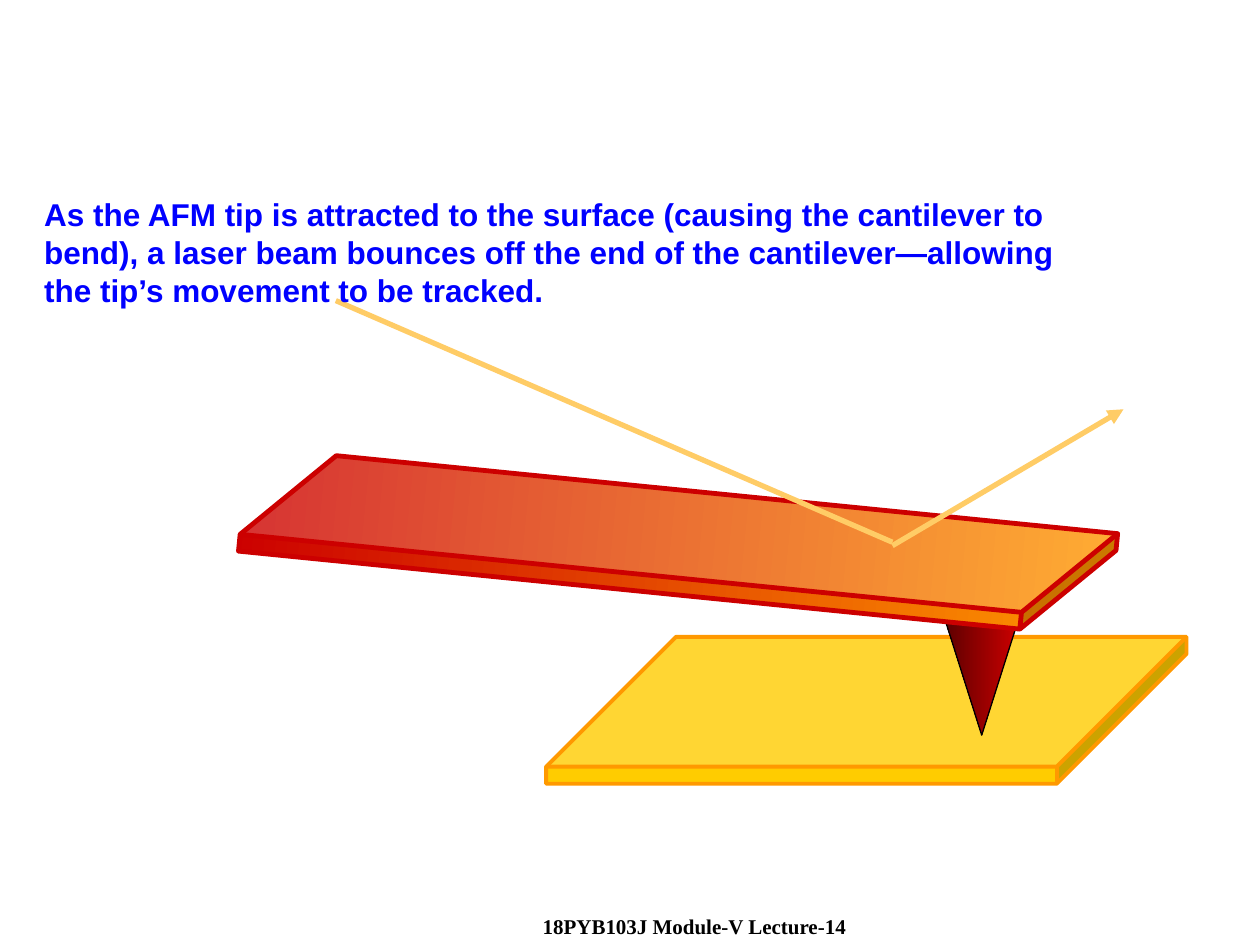
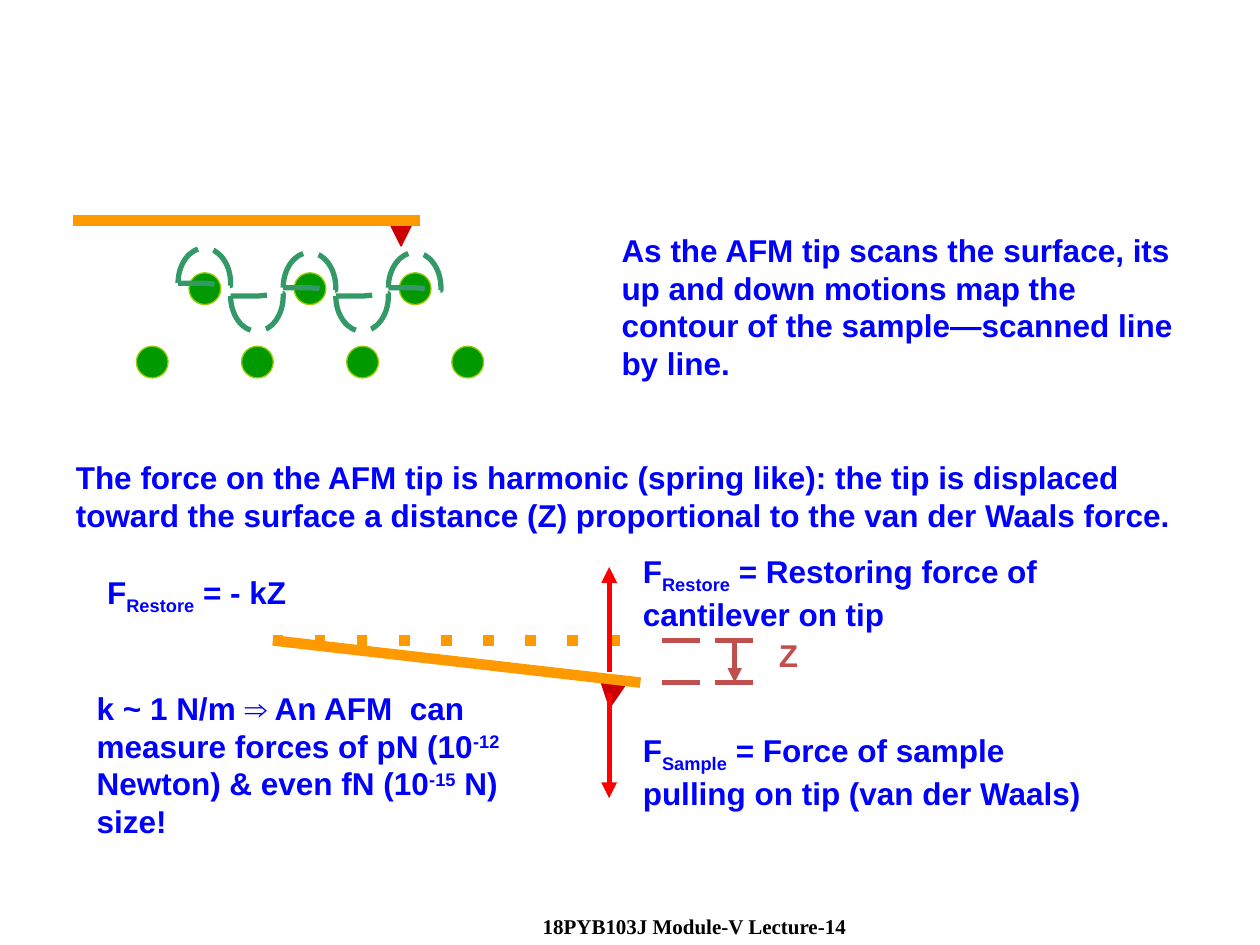
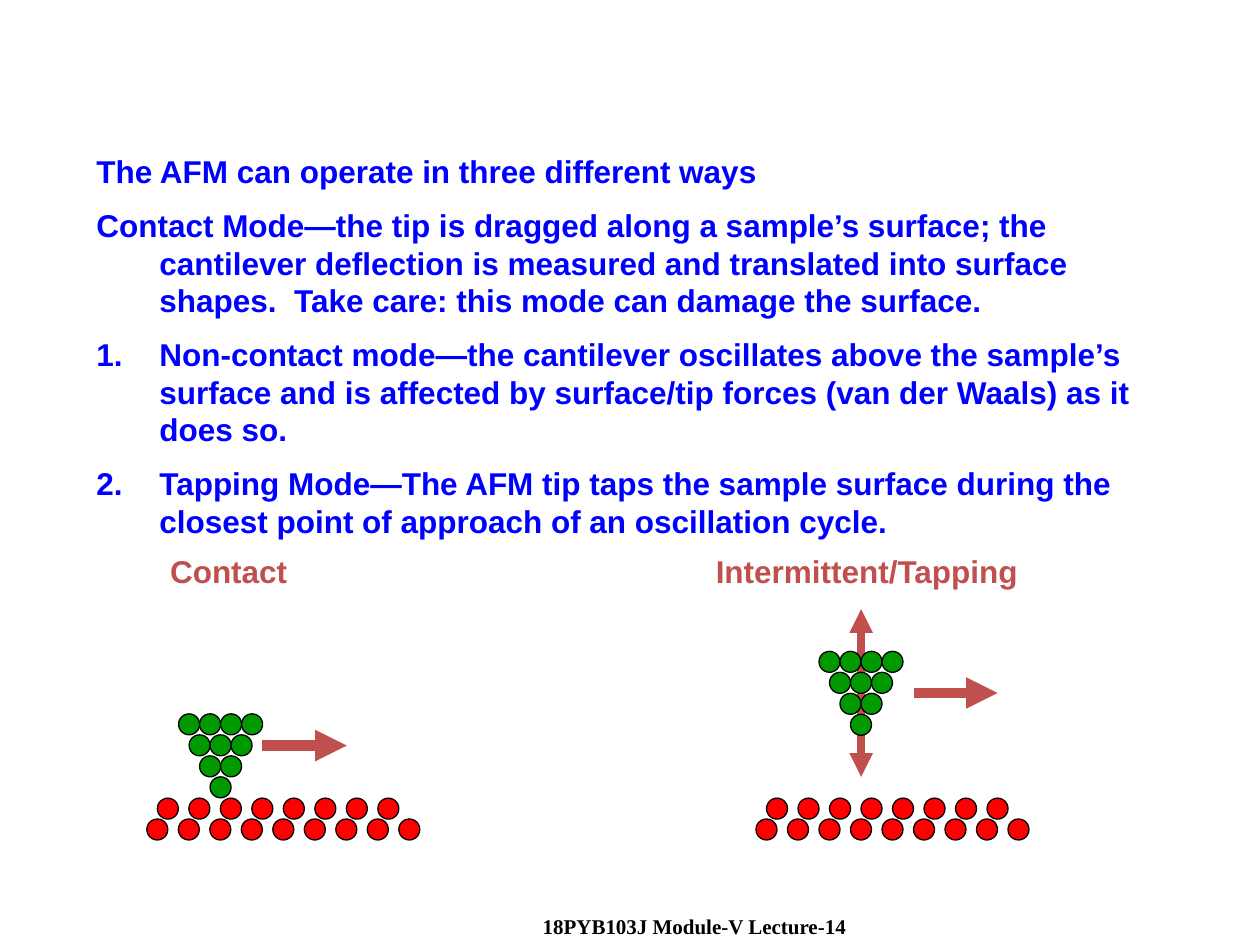
"""Build three slides on how an atomic force microscope works."""
from typing import NamedTuple, Optional

from lxml import etree
from pptx import Presentation
from pptx import util as u
from pptx.dml.color import RGBColor
from pptx.enum import shapes, text
from pptx.oxml import ns

BLUE = "0000FF"
BRICK = "C0504D"
ORANGE = "FF9900"
BEAM = "FFCC66"
RED = "FF0000"
CRIMSON = "CC0000"
MAROON = "5E0000"
GOLD = "FFCC00"
GREEN = "009900"
LIME = "99CC00"
TEAL = "339966"
BLACK = "000000"
ATOM = 1.27 / 3
LATTICE_PITCH = 1.27 / 2


class Run(NamedTuple):
    text: str
    baseline: int = 0


class Label(NamedTuple):
    left: float
    top: float
    width: float
    height: float
    runs: tuple[Run, ...]
    color: str = BLUE
    font: str = "Arial"
    size: int = 18
    inset: float = 0.25


class Line(NamedTuple):
    start: tuple[float, float]
    end: tuple[float, float]
    color: str
    width: float
    dash: Optional[str] = None
    head: bool = False
    tail: bool = False


class Solid(NamedTuple):
    kind: shapes.MSO_SHAPE
    left: float
    top: float
    width: float
    height: float
    fill: tuple[str, ...]
    outline: str
    outline_width: float = 0.75
    rotation: float = 0
    adjustment: Optional[float] = None


FOOTER = Label(8.46, 18.29, 10.16, 0.76, (Run("18PYB103J Module-V Lecture-14"),),
               BLACK, "Times New Roman", 12, 2.48)

CANTILEVER_PARTS = (
    Solid(shapes.MSO_SHAPE.CUBE, 11.01, 12.84, 12.91, 2.96, (GOLD,), ORANGE, 2.25,
          adjustment=0.884),
    Solid(shapes.MSO_SHAPE.ISOSCELES_TRIANGLE, 19.05, 12.49, 1.48, 2.33,
          (CRIMSON, MAROON), BLACK, rotation=180),
    Solid(shapes.MSO_SHAPE.CUBE, 4.87, 9.88, 17.6, 2.11,
          (CRIMSON, ORANGE), CRIMSON, 2.75, 5.7, 0.839),
)
LASER_BEAM = (
    Line((6.77, 6.06), (17.99, 10.93), BEAM, 3),
    Line((17.99, 11), (22.65, 8.25), BEAM, 3, tail=True),
)
LASER_TEXT = Label(0.64, 3.81, 21.8, 2.54, (Run(
    "As the AFM tip is attracted to the surface (causing the cantilever to bend), a laser beam "
    "bounces off the end of the cantilever—allowing the tip’s movement to be tracked."),))

TIPS = (
    Solid(shapes.MSO_SHAPE.ISOSCELES_TRIANGLE, 7.83, 4.45, 0.51, 0.51,
          (CRIMSON,), CRIMSON, rotation=180),
    Solid(shapes.MSO_SHAPE.ISOSCELES_TRIANGLE, 12.07, 13.76, 0.51, 0.51,
          (CRIMSON,), CRIMSON, rotation=188.1),
)
CANTILEVER = Line((1.48, 4.45), (8.47, 4.45), ORANGE, 6)
FORCE_LINES = (
    Line((5.5, 12.91), (13.13, 12.91), ORANGE, 6, "dot"),
    Line((13.34, 12.91), (15.24, 12.91), BRICK, 2.75, "lgDash"),
    Line((13.34, 13.76), (15.24, 13.76), BRICK, 2.75, "lgDash"),
    Line((14.81, 12.91), (14.81, 13.76), BRICK, 2.75, tail=True),
    Line((5.5, 12.91), (12.91, 13.76), ORANGE, 6),
    Line((12.28, 13.55), (12.28, 11.43), RED, 3, tail=True),
    Line((12.28, 13.97), (12.28, 16.09), RED, 3, tail=True),
)
FORCE_LABELS = (
    Label(12.28, 4.53, 11.85, 3.3, (Run(
        "As the AFM tip scans the surface, its up and down motions map the contour of the "
        "sample—scanned line by line."),)),
    Label(1.28, 9.11, 22.86, 1.78, (Run(
        "The force on the AFM tip is harmonic (spring like): the tip is displaced toward the "
        "surface a distance (Z) proportional to the van der Waals force."),)),
    Label(15.45, 12.7, 1.9, 1.02, (Run("Z"),), BRICK),
    Label(12.71, 11, 9.74, 1.78, (
        Run("F"), Run("Restore", -25), Run(" = Restoring force of cantilever on tip"))),
    Label(12.71, 14.61, 9.74, 1.78, (
        Run("F"), Run("Sample", -25),
        Run(" = Force of sample pulling on tip (van der Waals)"))),
    Label(1.91, 11.43, 5.5, 1.02, (Run("F"), Run("Restore", -25), Run(" = - kZ"))),
    Label(1.7, 13.76, 9.1, 3.3, (
        Run("k ~ 1 N/m ⇒ An AFM  can measure forces of pN (10"), Run("-12", 30),
        Run(" Newton) & even fN (10"), Run("-15", 30), Run(" N) size!"))),
)

MODES = (
    ("The AFM can operate in three different ways", False),
    ("Contact Mode—the tip is dragged along a sample’s surface; the cantilever deflection is "
     "measured and translated into surface shapes.  Take care: this mode can damage the "
     "surface.", False),
    ("Non-contact mode—the cantilever oscillates above the sample’s surface and is affected by "
     "surface/tip forces (van der Waals) as it does so.", True),
    ("Tapping Mode—The AFM tip taps the sample surface during the closest point of approach of "
     "an oscillation cycle.", True),
)
MODE_LINES = (
    Line((17.36, 15.66), (17.36, 12.28), BRICK, 4.5, head=True, tail=True),
    Line((5.29, 15.03), (6.99, 15.03), BRICK, 6, tail=True),
    Line((18.42, 13.97), (20.11, 13.97), BRICK, 6, tail=True),
)
MODE_LABELS = (
    Label(3.18, 11, 3.81, 1.02, (Run("Contact"),), BRICK),
    Label(14.18, 11, 7.2, 1.02, (Run("Intermittent/Tapping"),), BRICK),
)


def rgb(color: str) -> RGBColor:
    """Turn a hex string into a colour."""
    return RGBColor.from_string(color)


def style_line(shape, color: str, width: float, dash: Optional[str] = None,
               head: bool = False, tail: bool = False) -> None:
    """Set colour, width, dash and arrowheads of a line or outline."""
    shape.line.color.rgb = rgb(color)
    shape.line.width = u.Pt(width)
    outline = shape.element.spPr.find(ns.qn("a:ln"))
    if dash:
        etree.SubElement(outline, ns.qn("a:prstDash"), val=dash)
    for tag, wanted in (("a:headEnd", head), ("a:tailEnd", tail)):
        if wanted:
            etree.SubElement(outline, ns.qn(tag), type="triangle")


def style_font(paragraph, color: str, name: str = "Arial", size: int = 18) -> None:
    """Set the bold font of a paragraph."""
    paragraph.font.name = name
    paragraph.font.size = u.Pt(size)
    paragraph.font.bold = True
    paragraph.font.color.rgb = rgb(color)


def draw_line(slide, line: Line) -> None:
    """Draw a straight line or arrow."""
    connector = slide.shapes.add_connector(
        shapes.MSO_CONNECTOR.STRAIGHT, *map(u.Cm, line.start + line.end))
    style_line(connector, line.color, line.width, line.dash, line.head, line.tail)
    etree.SubElement(connector.element.spPr, ns.qn("a:effectLst"))


def draw_solid(slide, solid: Solid) -> None:
    """Draw a preset shape with a plain or two-colour gradient fill."""
    shape = slide.shapes.add_shape(solid.kind, u.Cm(solid.left), u.Cm(solid.top),
                                   u.Cm(solid.width), u.Cm(solid.height))
    shape.shadow.inherit = False
    shape.rotation = solid.rotation
    if solid.adjustment is not None:
        shape.adjustments[0] = solid.adjustment
    if len(solid.fill) == 1:
        shape.fill.solid()
        shape.fill.fore_color.rgb = rgb(solid.fill[0])
    else:
        shape.fill.gradient()
        shape.fill.gradient_angle = 0
        for stop, color in zip(shape.fill.gradient_stops, solid.fill):
            stop.color.rgb = rgb(color)
    style_line(shape, solid.outline, solid.outline_width)


def draw_label(slide, label: Label) -> None:
    """Draw a text box with one paragraph."""
    box = slide.shapes.add_textbox(u.Cm(label.left), u.Cm(label.top),
                                   u.Cm(label.width), u.Cm(label.height))
    frame = box.text_frame
    frame.word_wrap = True
    frame.auto_size = text.MSO_AUTO_SIZE.SHAPE_TO_FIT_TEXT
    frame.margin_left = u.Cm(label.inset)
    paragraph = frame.paragraphs[0]
    style_font(paragraph, label.color, label.font, label.size)
    for part in label.runs:
        run = paragraph.add_run()
        run.text = part.text
        if part.baseline:
            run._r.get_or_add_rPr().set("baseline", str(part.baseline * 1000))


def draw_row(slide, left: float, top: float, count: int, pitch: float, size: float,
             fill: str, outline: str = BLACK) -> None:
    """Draw a row of evenly spaced atoms."""
    for index in range(count):
        draw_solid(slide, Solid(shapes.MSO_SHAPE.OVAL, left + index * pitch, top,
                                size, size, (fill,), outline))


def draw_tip_atoms(slide, left: float, top: float) -> None:
    """Draw a tip of atoms whose rows shrink from four to one."""
    for row in range(4):
        draw_row(slide, left + row * ATOM / 2, top + row * ATOM, 4 - row, ATOM, ATOM, GREEN)


def draw_surface_atoms(slide, left: float) -> None:
    """Draw the two staggered rows of a sample surface."""
    draw_row(slide, left + ATOM / 2, 16.09, 8, LATTICE_PITCH, ATOM, RED)
    draw_row(slide, left, 16.51, 9, LATTICE_PITCH, ATOM, RED)


def draw_contour_arc(slide, center: float, base: float, direction: int) -> None:
    """Draw a dashed half ellipse of two curves, closed through its centre."""
    offsets = ((-0.53, 0), (-0.53, 0.39), (-0.29, 0.71), (0, 0.71),
               (0.29, 0.71), (0.53, 0.39), (0.53, 0), (0.53, -0.05), (0, 0))
    points = [(u.Cm(center + x), u.Cm(base + direction * y)) for x, y in offsets]
    builder = slide.shapes.build_freeform(*points[0])
    builder.add_line_segments(points[1:], close=True)
    arc = builder.convert_to_shape()
    segments = list(arc.element.iter(ns.qn("a:lnTo")))
    outline = segments[0].getparent()
    for controls in (segments[:3], segments[3:6]):
        curve = etree.SubElement(outline, ns.qn("a:cubicBezTo"))
        controls[0].addprevious(curve)
        for segment in controls:
            curve.append(segment[0])
            outline.remove(segment)
    arc.shadow.inherit = False
    arc.fill.background()
    style_line(arc, TEAL, 3, "lgDash")


def fill_modes(body) -> None:
    """Fill the body placeholder with the list of operating modes."""
    body.left, body.top = u.Cm(1.69), u.Cm(2.94)
    body.width, body.height = u.Cm(22.22), u.Cm(8.28)
    frame = body.text_frame
    frame.auto_size = text.MSO_AUTO_SIZE.SHAPE_TO_FIT_TEXT
    for index, (wording, numbered) in enumerate(MODES):
        paragraph = frame.add_paragraph() if index else frame.paragraphs[0]
        paragraph.text = wording
        paragraph.space_before = u.Pt(9 if index else 0)
        properties = paragraph._p.get_or_add_pPr()
        properties.set("marL", str(u.Cm(1.27)))
        properties.set("indent", str(-u.Cm(1.27)))
        if numbered:
            bullet_color = etree.SubElement(properties, ns.qn("a:buClr"))
            etree.SubElement(bullet_color, ns.qn("a:srgbClr"), val=BLUE)
            etree.SubElement(properties, ns.qn("a:buFont"), typeface="Arial")
            etree.SubElement(properties, ns.qn("a:buAutoNum"), type="arabicPeriod")
        else:
            etree.SubElement(properties, ns.qn("a:buNone"))
        style_font(paragraph, BLUE)


def build_laser_slide(presentation) -> None:
    """Build the slide on tracking the tip with a laser."""
    slide = presentation.slides.add_slide(presentation.slide_layouts[6])
    for part in CANTILEVER_PARTS:
        draw_solid(slide, part)
    for line in LASER_BEAM:
        draw_line(slide, line)
    for label in (LASER_TEXT, FOOTER):
        draw_label(slide, label)


def build_force_slide(presentation) -> None:
    """Build the slide on scanning and the forces on the tip."""
    slide = presentation.slides.add_slide(presentation.slide_layouts[6])
    for tip in TIPS:
        draw_solid(slide, tip)
    draw_row(slide, 3.81, 5.5, 3, 2.12, 0.64, GREEN, LIME)
    draw_row(slide, 2.75, 6.98, 4, 2.12, 0.64, GREEN, LIME)
    for index, base in enumerate((5.71, 5.97, 5.8, 5.97, 5.8)):
        draw_contour_arc(slide, 4.12 + index * 1.06, base, 1 if index % 2 else -1)
    for line in (CANTILEVER,) + FORCE_LINES:
        draw_line(slide, line)
    for label in FORCE_LABELS + (FOOTER,):
        draw_label(slide, label)


def build_modes_slide(presentation) -> None:
    """Build the slide on the operating modes."""
    slide = presentation.slides.add_slide(presentation.slide_layouts[1])
    title = slide.shapes.title.element
    title.getparent().remove(title)
    fill_modes(slide.placeholders[1])
    for line in MODE_LINES:
        draw_line(slide, line)
    for tip_left, tip_top, surface_left in ((3.6, 14.39, 2.96), (16.51, 13.13, 15.24)):
        draw_surface_atoms(slide, surface_left)
        draw_tip_atoms(slide, tip_left, tip_top)
    for label in MODE_LABELS + (FOOTER,):
        draw_label(slide, label)


def main() -> None:
    """Build and save the presentation."""
    presentation = Presentation()
    presentation.slide_width, presentation.slide_height = u.Cm(25.4), u.Cm(19.05)
    build_laser_slide(presentation)
    build_force_slide(presentation)
    build_modes_slide(presentation)
    presentation.save("out.pptx")


if __name__ == "__main__":
    main()
